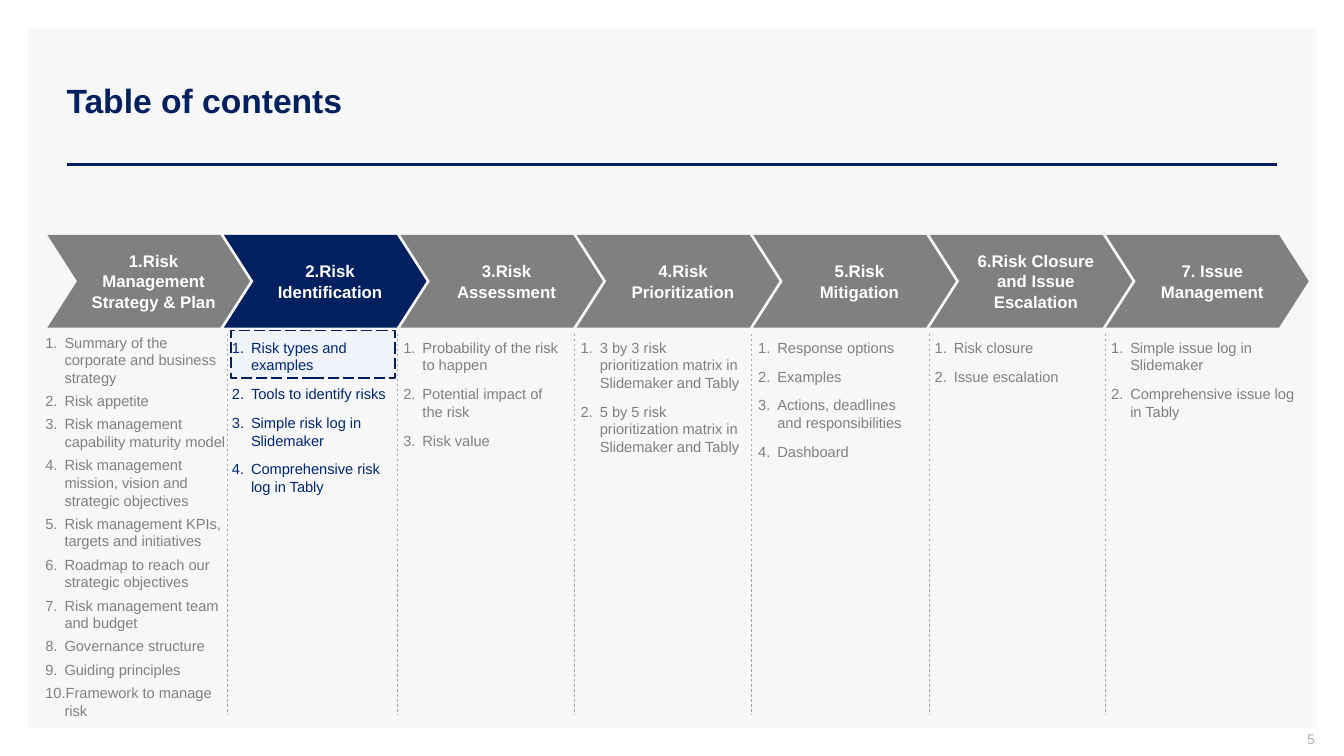
from lxml import etree
from pptx import Presentation
from pptx.dml.color import RGBColor
from pptx.enum.dml import MSO_LINE
from pptx.enum.shapes import MSO_CONNECTOR, MSO_SHAPE
from pptx.enum.text import MSO_ANCHOR, MSO_AUTO_SIZE, PP_ALIGN
from pptx.oxml.ns import qn
from pptx.util import Inches, Pt

NAVY = RGBColor(0x00, 0x20, 0x60)
ACTIVE_TEXT = RGBColor(0x00, 0x27, 0x76)
GREY = RGBColor(0x80, 0x80, 0x80)
DIVIDER = RGBColor(0xA6, 0xA6, 0xA6)
PAGE_GREY = RGBColor(0xAD, 0xAF, 0xBB)
PANEL = RGBColor(0xF7, 0xF7, 0xF7)
PALE_BLUE = RGBColor(0xD6, 0xE3, 0xFF)
WHITE = RGBColor(0xFF, 0xFF, 0xFF)
FONT = "Arial"
LEFT, CENTER, RIGHT = PP_ALIGN.LEFT, PP_ALIGN.CENTER, PP_ALIGN.RIGHT
MIDDLE, TOP = MSO_ANCHOR.MIDDLE, MSO_ANCHOR.TOP

TITLE = "Table of contents"
PAGE_NUMBER = "5"
ACTIVE_STEP = 1

# heading, (left, top, width, height) of its list, list items
STEPS = [
    ("1.Risk Management Strategy & Plan", (0.45, 3.26, 1.9, 3.96), [
        "Summary of the corporate and business strategy",
        "Risk appetite",
        "Risk management capability maturity model",
        "Risk management mission, vision and strategic objectives",
        "Risk management KPIs, targets and initiatives",
        "Roadmap to reach our strategic objectives",
        "Risk management team and budget",
        "Governance structure",
        "Guiding principles",
        "Framework to manage risk"]),
    ("2.Risk Identification", (2.3, 3.31, 1.7, 1.94), [
        "Risk types and examples",
        "Tools to identify risks",
        "Simple risk log in Slidemaker",
        "Comprehensive risk log in Tably"]),
    ("3.Risk Assessment", (4, 3.31, 1.71, 1.5), [
        "Probability of the risk to happen",
        "Potential impact of the risk",
        "Risk value"]),
    ("4.Risk Prioritization", (5.76, 3.31, 1.76, 1.27), [
        "3 by 3 risk prioritization matrix in Slidemaker and Tably",
        "5 by 5 risk prioritization matrix in Slidemaker and Tably"]),
    ("5.Risk Mitigation", (7.52, 3.31, 1.68, 1.32), [
        "Response options",
        "Examples",
        "Actions, deadlines and responsibilities",
        "Dashboard"]),
    ("6.Risk Closure and Issue Escalation", (9.27, 3.31, 1.92, 0.57), [
        "Risk closure",
        "Issue escalation"]),
    ("7. Issue Management", (11.02, 3.31, 1.92, 1.21), [
        "Simple issue log in Slidemaker",
        "Comprehensive issue log in Tably"]),
]
DIVIDERS_X = [2.25, 3.94, 5.7, 7.45, 9.22, 10.96]
CHEVRON_LEFT, CHEVRON_PITCH = 0.47, 1.75


def add_filled(preset, box, fill):
    shape = slide.shapes.add_shape(preset, *map(Inches, box))
    shape.shadow.inherit = False
    shape.fill.solid()
    shape.fill.fore_color.rgb = fill
    shape.line.fill.background()
    return shape


def add_line(start, end, color, width, dash=None):
    line = slide.shapes.add_connector(MSO_CONNECTOR.STRAIGHT,
                                      *map(Inches, start + end))
    line.line.color.rgb = color
    line.line.width = Pt(width)
    if dash is not None:
        line.line.dash_style = dash
    etree.SubElement(line._element.spPr, qn("a:effectLst"))


def set_frame(frame, insets, anchor):
    """Insets run left, top, right, bottom."""
    frame.word_wrap = True
    frame.vertical_anchor = anchor
    (frame.margin_left, frame.margin_top,
     frame.margin_right, frame.margin_bottom) = map(Inches, insets)


def write(paragraph, text, size, color, bold=False, align=LEFT):
    paragraph.alignment = align
    run = paragraph.add_run()
    run.text = text
    run.font.name = FONT
    run.font.size = Pt(size)
    run.font.bold = bold
    run.font.color.rgb = color


def add_numbering(paragraph):
    props = paragraph._p.get_or_add_pPr()
    props.set("marL", str(Inches(0.19)))
    props.set("indent", str(-Inches(0.19)))
    bullet_font = etree.SubElement(props, qn("a:buFont"))
    bullet_font.set("typeface", "+mj-lt")
    etree.SubElement(props, qn("a:buAutoNum")).set("type", "arabicPeriod")


def add_items(box, items, color, spacing):
    textbox = slide.shapes.add_textbox(*map(Inches, box))
    frame = textbox.text_frame
    set_frame(frame, (0, 0.05, 0.1, 0.05), TOP)
    frame.auto_size = MSO_AUTO_SIZE.SHAPE_TO_FIT_TEXT
    for i, item in enumerate(items):
        paragraph = frame.add_paragraph() if i else frame.paragraphs[0]
        add_numbering(paragraph)
        paragraph.space_before = Pt(spacing if i else 0)
        paragraph.space_after = Pt(spacing)
        write(paragraph, item, 10.5, color)


prs = Presentation()
prs.slide_width, prs.slide_height = Inches(13.33), Inches(7.5)
slide = prs.slides.add_slide(prs.slide_layouts[5])

panel = add_filled(MSO_SHAPE.RECTANGLE, (0.28, 0.29, 12.78, 6.93), PANEL)
slide.shapes._spTree.insert(2, panel._element)  # behind the title
add_line((0.66, 1.63), (12.67, 1.63), NAVY, 2)

title = slide.shapes.title
title.left, title.top, title.width, title.height = map(
    Inches, (0.56, 0.4, 12.11, 1.19))
set_frame(title.text_frame, (0.1, 0.05, 0.1, 0.05), MIDDLE)
write(title.text_frame.paragraphs[0], TITLE, 24, NAVY, bold=True)

page = slide.shapes.add_textbox(*map(Inches, (10.04, 7.25, 3, 0.21))).text_frame
set_frame(page, (0.1, 0, 0, 0.05), MIDDLE)
write(page.paragraphs[0], PAGE_NUMBER, 10, PAGE_GREY, align=RIGHT)

highlight = add_filled(MSO_SHAPE.RECTANGLE, (2.29, 3.28, 1.63, 0.47), PALE_BLUE)
fill_color = highlight._element.spPr.find(".//" + qn("a:srgbClr"))
etree.SubElement(fill_color, qn("a:alpha")).set("val", "20000")
highlight.line.color.rgb = NAVY
highlight.line.width = Pt(1)
highlight.line.dash_style = MSO_LINE.LONG_DASH

for x in DIVIDERS_X:
    add_line((x, 3.31), (x, 7.09), DIVIDER, 0.5, MSO_LINE.DASH)

for step, (heading, list_box, items) in enumerate(STEPS):
    active = step == ACTIVE_STEP
    chevron = add_filled(
        MSO_SHAPE.CHEVRON,
        (CHEVRON_LEFT + step * CHEVRON_PITCH, 2.33, 2.01, 0.92),
        NAVY if active else GREY)
    chevron.adjustments[0] = 0.32
    set_frame(chevron.text_frame, (0.1, 0.05, 0, 0.05), MIDDLE)
    write(chevron.text_frame.paragraphs[0], heading, 12, WHITE,
          bold=True, align=CENTER)
    add_items(list_box, items, ACTIVE_TEXT if active else GREY,
              2 if step == 0 else 4)

prs.save("out.pptx")
